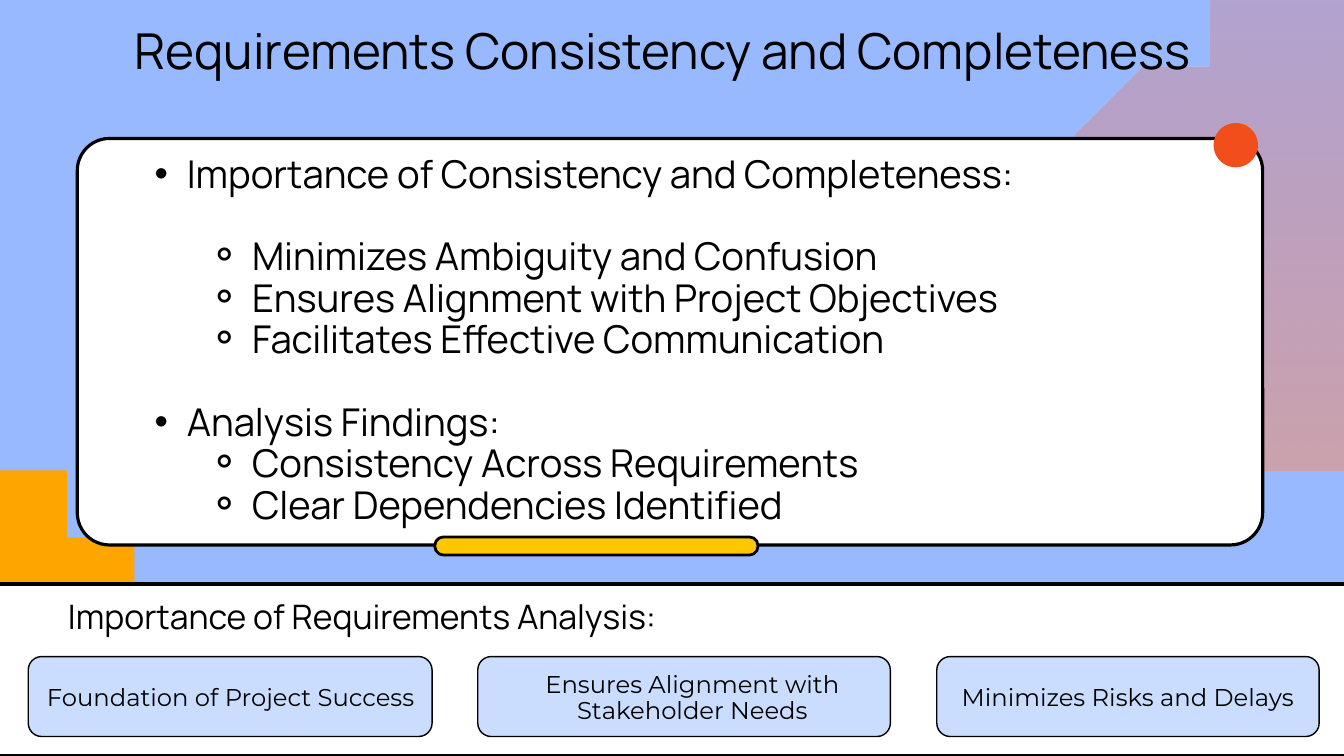
import math

from lxml import etree
from pptx import Presentation
from pptx import util as u
from pptx.dml.color import RGBColor
from pptx.enum import shapes, text
from pptx.oxml.ns import qn

INK, WHITE, SKY, PALE = "000000", "FFFFFF", "99B9FF", "CADDFF"
SHAPE = shapes.MSO_SHAPE


def rgb(value):
    return RGBColor.from_string(value)


class SlideBuilder:
    heading_font = "Manrope"
    label_font = "Montserrat"
    width, height = 20, 11.25

    def __init__(self):
        self.deck = Presentation()
        self.deck.slide_width = u.Inches(self.width)
        self.deck.slide_height = u.Inches(self.height)
        self.slide = self.deck.slides.add_slide(self.deck.slide_layouts[6])
        backdrop = self.slide.background.fill
        backdrop.solid()
        backdrop.fore_color.rgb = rgb(SKY)

    def paint(self, shape, fill=None, line=0):
        shape.shadow.inherit = False
        if fill:
            shape.fill.solid()
            shape.fill.fore_color.rgb = rgb(fill)
        if line:
            shape.line.color.rgb = rgb(INK)
            shape.line.width = u.Pt(line)
        else:
            shape.line.fill.background()

    def block(self, kind, frame, fill, line=0, radius=None):
        shape = self.slide.shapes.add_shape(kind, *map(u.Inches, frame))
        self.paint(shape, fill, line)
        if radius is not None:
            shape.adjustments[0] = radius / min(frame[2:])

    def disc(self, x, y, radius, fill=None):
        points = []
        for degree in range(0, 360, 2):
            angle = math.radians(degree)
            across = x + radius * math.cos(angle)
            points.append((min(max(across, 0), self.width), y + radius * math.sin(angle)))
        outline = self.slide.shapes.build_freeform(*points[0], scale=u.Inches(1))
        outline.add_line_segments(points[1:], close=True)
        shape = outline.convert_to_shape()
        self.paint(shape, fill)
        return shape

    def glow(self, x, y, radius, stops):
        shape = self.disc(x, y, radius)
        shape.fill.gradient()
        shape.fill.gradient_angle = 270
        for stop, (color, _) in zip(shape.fill.gradient_stops, stops):
            stop.color.rgb = rgb(color)
        tints = shape.fill._xPr.iter(qn("a:srgbClr"))
        for tint, (_, opacity) in zip(tints, stops):
            etree.SubElement(tint, qn("a:alpha"), val=str(opacity * 1000))

    def frame(self, place):
        box = self.slide.shapes.add_textbox(*map(u.Inches, place)).text_frame
        box.word_wrap = True
        box.margin_left = box.margin_right = box.margin_top = box.margin_bottom = 0
        return box

    def style(self, paragraph, size, spacing, font):
        paragraph.line_spacing = u.Pt(spacing)
        for run in paragraph.runs:
            run.font.size = u.Pt(size)
            run.font.name = font
            run.font.color.rgb = rgb(INK)

    def caption(self, place, words, size, spacing, font):
        box = self.frame(place)
        box.text = words
        box.paragraphs[0].alignment = text.PP_ALIGN.CENTER
        self.style(box.paragraphs[0], size, spacing, font)

    def bullets(self, place, items, size, spacing):
        marks = {1: ("•", 0.97, 0.48), 2: ("⚬", 1.94, 0.65)}
        box = self.frame(place)
        for index, (level, words, gap) in enumerate(items):
            paragraph = box.add_paragraph() if index else box.paragraphs[0]
            paragraph.text = words
            mark, margin, hang = marks[level]
            properties = paragraph._p.get_or_add_pPr()
            properties.set("marL", str(u.Inches(margin)))
            properties.set("indent", str(-u.Inches(hang)))
            etree.SubElement(properties, qn("a:buFont"), typeface="Arial")
            etree.SubElement(properties, qn("a:buChar"), char=mark)
            paragraph.level = level
            if gap:
                paragraph.space_before = u.Pt(spacing)
            self.style(paragraph, size, spacing, self.heading_font)


def main():
    page = SlideBuilder()
    page.glow(19.34, 3.37, 3.37, [("FC6645", 25), ("FF8B59", 50)])
    page.disc(0.27, 9.17, 1.97, "FFA500")

    page.block(SHAPE.ROUNDED_RECTANGLE, (1.15, 2.06, 17.64, 6.05), WHITE, 3.4, 0.48)
    page.block(SHAPE.ROUNDED_RECTANGLE, (6.47, 7.99, 4.81, 0.27), "FFC700", 3, 0.13)
    findings = [
        (1, "Importance of Consistency and Completeness:", False),
        (2, "Minimizes Ambiguity and Confusion", True),
        (2, "Ensures Alignment with Project Objectives", False),
        (2, "Facilitates Effective Communication", False),
        (1, "Analysis Findings:", True),
        (2, "Consistency Across Requirements", False),
        (2, "Clear Dependencies Identified", False),
    ]
    page.bullets((1.81, 2.3, 16.71, 5.55), findings, 41, 44.3)
    page.block(SHAPE.OVAL, (18.06, 1.83, 0.66, 0.66), "F14E1C")
    page.caption((1.02, 0.44, 17.69, 0.83), "Requirements Consistency and Completeness",
                 53, 53.5, page.heading_font)

    page.block(SHAPE.RECTANGLE, (-0.07, 8.69, 20.6, 2.56), WHITE, 4.5)
    benefits = [
        (0.42, 6.01, 0.68, 5.51, 1, "Foundation of Project Success"),
        (7.11, 6.14, 7.57, 5.47, 2, "Ensures Alignment with Stakeholder Needs"),
        (13.94, 5.69, 14.19, 5.19, 1, "Minimizes Risks and Delays"),
    ]
    for left, width, label_left, label_width, lines, words in benefits:
        page.block(SHAPE.ROUNDED_RECTANGLE, (left, 9.77, width, 1.19), PALE, 1.5, 0.2)
        label_height = 0.38 * lines
        label = (label_left, 10.39 - label_height / 2, label_width, label_height)
        page.caption(label, words, 26, 27.6, page.label_font)
    page.caption((0.3, 8.96, 10.18, 0.56), "Importance of Requirements Analysis:",
                 36.1, 36.5, page.heading_font)

    page.deck.save("out.pptx")


if __name__ == "__main__":
    main()
